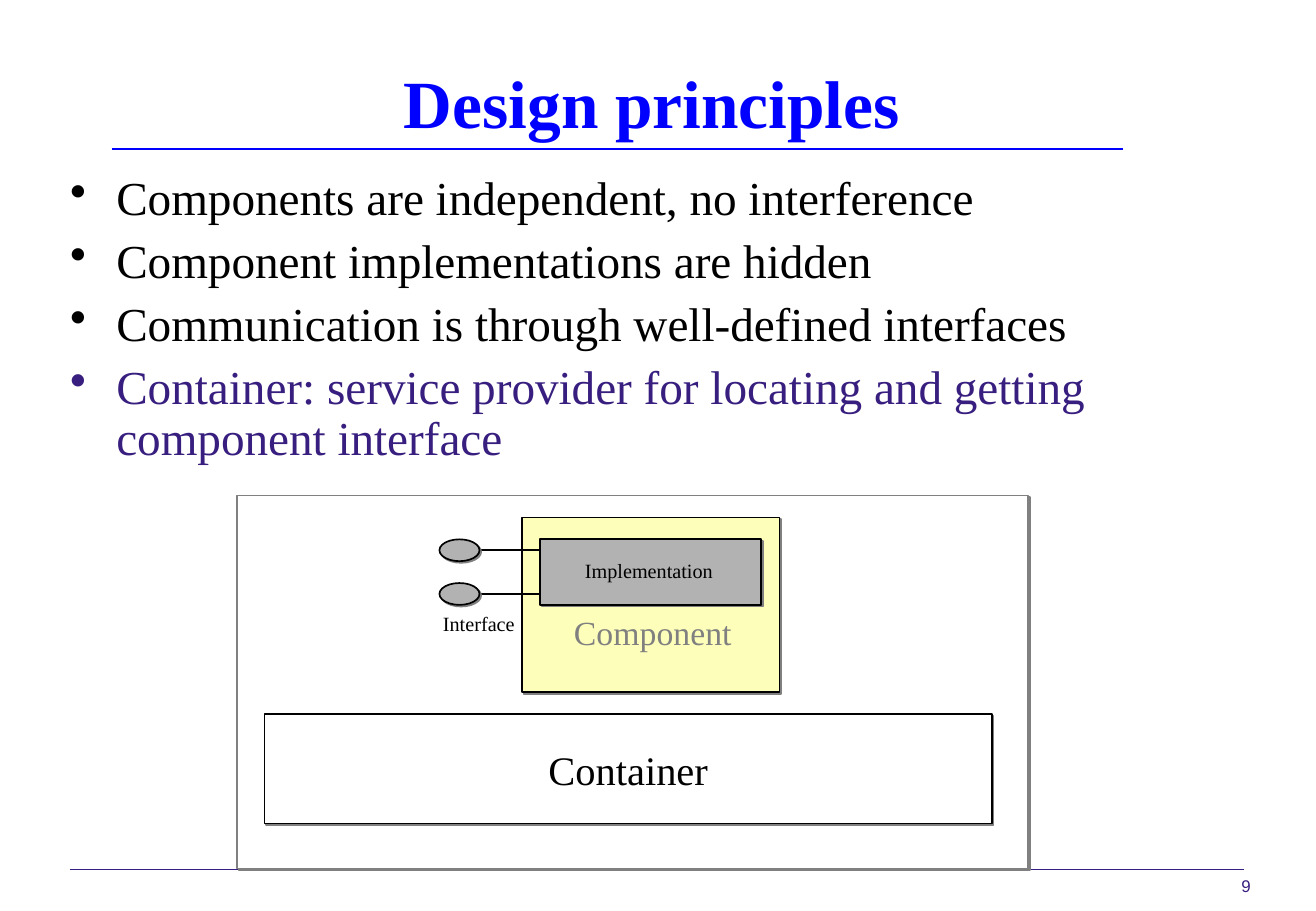
from lxml import etree
from pptx import Presentation
from pptx.dml.color import RGBColor
from pptx.enum.shapes import MSO_CONNECTOR, MSO_SHAPE
from pptx.enum.text import MSO_ANCHOR, PP_ALIGN
from pptx.oxml.ns import qn
from pptx.util import Inches, Pt

RECT, OVAL = MSO_SHAPE.RECTANGLE, MSO_SHAPE.OVAL
STRAIGHT = MSO_CONNECTOR.STRAIGHT
LEFT, CENTER, RIGHT = PP_ALIGN.LEFT, PP_ALIGN.CENTER, PP_ALIGN.RIGHT
TOP, MIDDLE, BOTTOM = MSO_ANCHOR.TOP, MSO_ANCHOR.MIDDLE, MSO_ANCHOR.BOTTOM

COLORS = {
    "title": "0000FF",
    "accent": "381F7F",
    "text": "000000",
    "muted": "808080",
    "paper": "FFFFFF",
    "component": "FCFEB9",
    "implementation": "B2B2B2",
}

PRINCIPLES = [
    ("Components are independent, no interference", "text"),
    ("Component implementations are hidden", "text"),
    ("Communication is through well-defined interfaces", "text"),
    ("Container: service provider for locating and getting component interface", "accent"),
]


def rgb(name):
    return RGBColor.from_string(COLORS[name])


def write(paragraph, text, size=12, color="text", font="Times New Roman",
          bold=False, align=LEFT):
    paragraph.alignment = align
    run = paragraph.add_run()
    run.text = text
    run.font.name = font
    run.font.size = Pt(size)
    run.font.bold = bold
    run.font.color.rgb = rgb(color)


def add_text_frame(slide, left, top, width, height, anchor=TOP):
    box = slide.shapes.add_textbox(
        Inches(left), Inches(top), Inches(width), Inches(height))
    frame = box.text_frame
    frame.word_wrap = True
    frame.vertical_anchor = anchor
    return frame


def add_label(slide, text, left, top, width, height, anchor=TOP, **style):
    frame = add_text_frame(slide, left, top, width, height, anchor)
    write(frame.paragraphs[0], text, **style)


def add_bullet(paragraph, color):
    properties = paragraph._p.get_or_add_pPr()
    properties.set("marL", str(Inches(0.38)))
    properties.set("indent", str(Inches(-0.38)))
    bullet_color = etree.SubElement(properties, qn("a:buClr"))
    etree.SubElement(bullet_color, qn("a:srgbClr"), val=COLORS[color])
    etree.SubElement(properties, qn("a:buChar"), char="•")


def add_principles(slide):
    frame = add_text_frame(slide, 0.48, 1.39, 9.89, 2.69)
    for index, (principle, color) in enumerate(PRINCIPLES):
        paragraph = frame.add_paragraph() if index else frame.paragraphs[0]
        add_bullet(paragraph, color)
        paragraph.line_spacing = 0.9
        if index:
            paragraph.space_before = Pt(7)
        write(paragraph, principle, size=28, color=color)


def add_block(slide, kind, left, top, width, height, fill, line="text"):
    block = slide.shapes.add_shape(
        kind, Inches(left), Inches(top), Inches(width), Inches(height))
    block.fill.solid()
    block.fill.fore_color.rgb = rgb(fill)
    block.line.color.rgb = rgb(line)
    block.line.width = Pt(1)
    block.shadow.inherit = False
    effects = block._element.spPr.find(qn("a:effectLst"))
    shadow = etree.SubElement(
        effects, qn("a:outerShdw"), dist=str(Pt(1.4)), dir="2700000",
        algn="ctr", rotWithShape="0")
    etree.SubElement(shadow, qn("a:srgbClr"), val=COLORS["muted"])
    return block


def add_rule(slide, start, end, y, color, width):
    rule = slide.shapes.add_connector(
        STRAIGHT, Inches(start), Inches(y), Inches(end), Inches(y))
    rule.line.color.rgb = rgb(color)
    rule.line.width = Pt(width)
    etree.SubElement(rule._element.spPr, qn("a:effectLst"))


def add_interface(slide, y):
    add_rule(slide, 3.79, 4.45, y, "text", 1)
    add_block(slide, OVAL, 3.62, y - 0.09, 0.33, 0.18, "implementation")


def add_diagram(slide):
    add_block(slide, RECT, 1.95, 4.08, 6.52, 3.07, "paper", line="muted")
    container = add_block(slide, RECT, 2.18, 5.88, 5.99, 0.9, "paper")
    container.text_frame.vertical_anchor = MIDDLE
    write(container.text_frame.paragraphs[0], "Container", size=24, align=CENTER)
    add_block(slide, RECT, 4.3, 4.26, 2.12, 1.44, "component")
    add_block(slide, RECT, 4.45, 4.44, 1.82, 0.54, "implementation")
    for y in (4.53, 4.89):
        add_interface(slide, y)
    add_label(slide, "Component", 4.63, 4.99, 1.6, 0.76, size=20, color="muted")
    add_label(slide, "Implementation", 4.72, 4.55, 1.3, 0.36)
    add_label(slide, "Interface", 3.55, 4.98, 0.91, 0.36)


def main():
    deck = Presentation()
    deck.slide_width = Inches(10.84)
    deck.slide_height = Inches(7.5)
    slide = deck.slides.add_slide(deck.slide_layouts[6])

    add_rule(slide, 0.58, 10.25, 7.16, "accent", 0.5)
    add_rule(slide, 0.92, 9.25, 1.23, "title", 1.25)
    add_label(slide, "Design principles", 0.49, 0.25, 9.76, 0.97, anchor=BOTTOM,
              size=40, color="title", bold=True, align=CENTER)
    add_principles(slide)
    add_diagram(slide)
    add_label(slide, "9", 9.79, 7.16, 0.61, 0.33,
              size=10, color="accent", font="Arial", align=RIGHT)
    deck.save("out.pptx")


if __name__ == "__main__":
    main()
